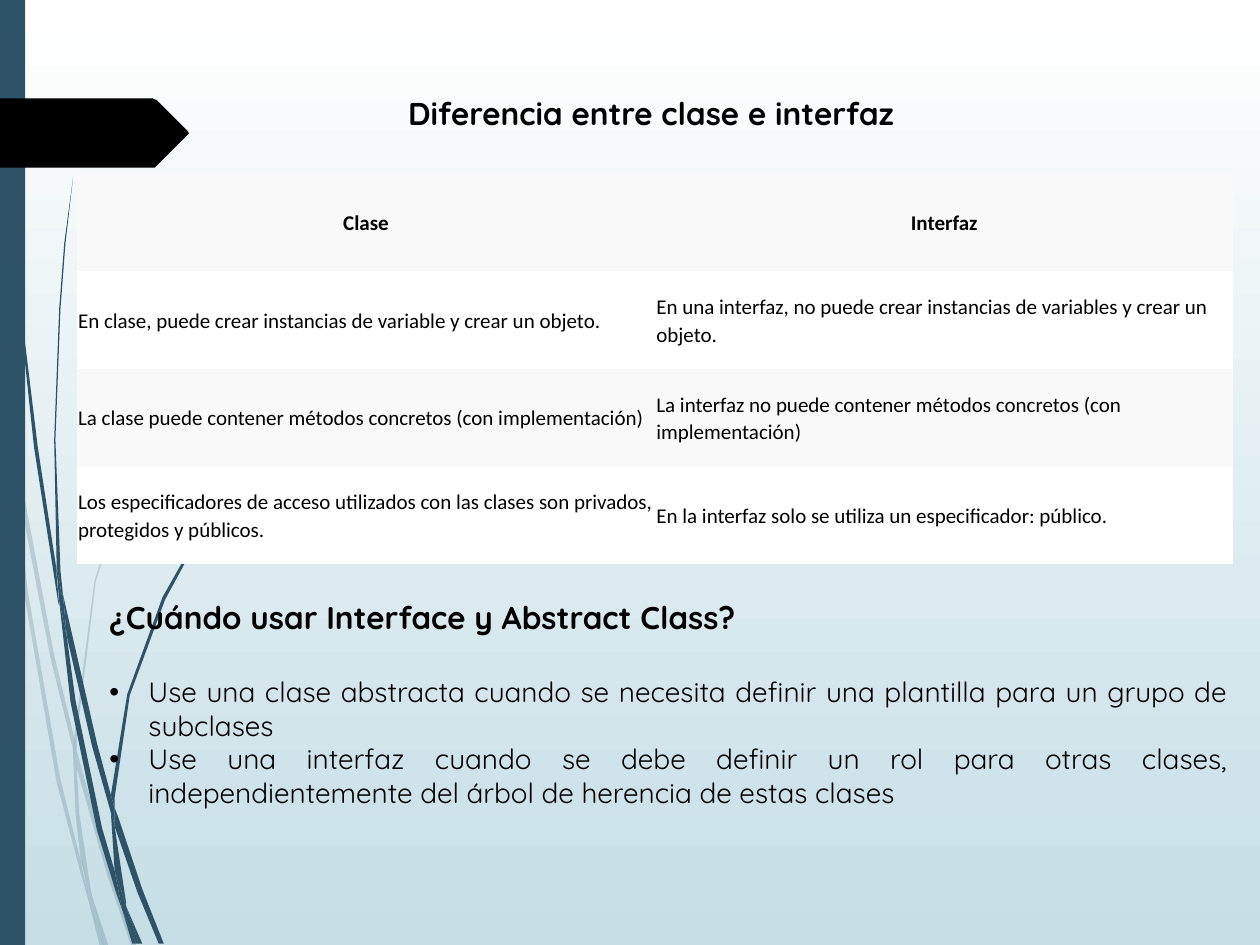
import dataclasses

import lxml.etree
import pptx
import pptx.dml.color
import pptx.enum.shapes
import pptx.enum.text
import pptx.oxml.ns
import pptx.util

PX = 9144
WIDE, HIGH = 1000, 750
PLAIN = "{2D5ABB26-0587-4C30-8999-92F81FD0307C}"


@dataclasses.dataclass(frozen=True)
class Theme:
    """Colours, fonts and type sizes of the slide."""
    blue: str = "2E5369"
    black: str = "000000"
    white: str = "FFFFFF"
    grey: str = "F9F9F9"
    sky: str = "C5DEE5"
    head: str = "Quicksand"
    body: str = "Calibri"
    title: int = 18
    point: int = 16
    cell: int = 12


THEME = Theme()

PALE = [
    [(8, 350), (6, 322), (0, 282), (0, 299), (7, 344)],
    [(40, 522), (59, 599), (59, 586), (43, 520), (10, 345), (12, 376)],
    [(64, 607), (61, 596), (61, 610), (85, 694), (104, 750), (108, 750), (88, 692)],
    [(83, 750), (86, 750), (73, 711)],
    [(64, 683), (48, 619), (22, 469), (12, 376), (8, 350), (19, 470), (45, 621),
     (64, 693), (70, 714), (69, 707)],
    [(58, 599), (60, 646), (64, 683), (67, 692), (73, 711), (72, 706), (63, 646),
     (61, 610), (61, 608)],
    [(61, 584), (76, 462), (111, 349), (159, 245), (187, 198), (201, 175), (217, 154),
     (217, 153), (201, 175), (186, 197), (158, 244), (110, 348), (75, 461), (59, 584),
     (59, 586), (61, 596)],
    [(70, 714), (79, 750), (82, 750)],
    [(61, 608), (61, 610), (61, 596), (59, 586), (58, 599)],
    [(67, 692), (65, 683), (69, 707), (70, 714), (82, 750), (83, 750), (73, 711)],
]

DARK = [
    [(5, 110), (14, 233), (27, 355), (46, 477), (47, 481), (45, 457), (45, 453),
     (30, 355), (15, 232), (6, 109), (4, 48), (3, 0), (2, 0), (3, 48)],
    [(73, 592), (88, 645), (88, 633), (88, 631), (77, 590), (50, 472), (53, 505)],
    [(94, 649), (91, 641), (91, 656), (109, 708), (126, 749), (130, 749), (113, 706)],
    [(91, 691), (81, 657), (60, 556), (53, 505), (47, 477), (56, 557), (77, 659),
     (92, 708), (97, 722), (96, 717)],
    [(50, 472), (48, 453), (44, 349), (48, 245), (52, 193), (58, 141), (51, 193),
     (47, 245), (43, 349), (45, 449), (49, 472)],
    [(110, 749), (113, 749), (100, 719)],
    [(47, 477), (53, 505), (50, 472), (49, 472), (45, 449), (45, 453)],
    [(91, 633), (103, 552), (131, 476), (169, 406), (191, 374), (203, 359), (216, 344),
     (215, 344), (203, 358), (191, 373), (168, 405), (129, 474), (101, 551), (88, 631),
     (91, 641)],
    [(97, 722), (105, 749), (108, 749)],
    [(88, 645), (91, 691), (96, 706), (100, 719), (100, 716), (91, 656), (90, 651)],
    [(88, 645), (90, 651), (91, 656), (91, 641), (88, 631), (88, 633)],
    [(96, 706), (91, 691), (96, 717), (97, 722), (108, 749), (110, 749), (100, 719)],
]

TAG = [(149, 29), (124, 54), (123, 55), (121, 55), (0, 55), (0, 0), (121, 0),
       (123, 1), (124, 1), (149, 26), (150, 28)]

ROWS = [
    ("Clase", "Interfaz"),
    ("En clase, puede crear instancias de variable y crear un objeto.",
     "En una interfaz, no puede crear instancias de variables y crear un objeto."),
    ("La clase puede contener métodos concretos (con implementación)",
     "La interfaz no puede contener métodos concretos (con implementación)"),
    ("Los especificadores de acceso utilizados con las clases son privados, "
     "protegidos y públicos.",
     "En la interfaz solo se utiliza un especificador: público."),
]

POINTS = [
    "Use una clase abstracta cuando se necesita definir una plantilla para un grupo "
    "de subclases",
    "Use una interfaz cuando se debe definir un rol para otras clases, "
    "independientemente del árbol de herencia de estas clases",
]


def tint(code):
    """Turn a hex code into a colour."""
    return pptx.dml.color.RGBColor.from_string(code)


def scale(box):
    """Turn a box in px into EMU."""
    return [side * PX for side in box]


def paint(shape, code, alpha=None):
    """Give a shape a plain fill with no line or shadow."""
    shape.shadow.inherit = False
    shape.fill.solid()
    shape.fill.fore_color.rgb = tint(code)
    shape.line.fill.background()
    if alpha:
        for node in shape.fill._xPr.iter(pptx.oxml.ns.qn("a:srgbClr")):
            lxml.etree.SubElement(node, pptx.oxml.ns.qn("a:alpha"), val=str(alpha * 1000))


def trace(shapes, box, dots, code, alpha=None):
    """Draw a closed outline from the corner of a box."""
    left, top = scale(box[:2])
    pen = shapes.build_freeform(*dots[0], scale=PX)
    pen.add_line_segments(dots[1:], close=True)
    paint(pen.convert_to_shape(left, top), code, alpha)


def write(para, text, font, size, bold=False):
    """Add one run to a paragraph."""
    run = para.add_run()
    run.text = text
    run.font.name = font
    run.font.size = pptx.util.Pt(size)
    run.font.bold = bold
    run.font.color.rgb = tint(THEME.black)


def frame(slide, box):
    """Add a wrapping text box and return its frame."""
    text = slide.shapes.add_textbox(*scale(box)).text_frame
    text.word_wrap = True
    return text


def add_back(slide):
    """Fill the slide with a fade from top to bottom."""
    fill = slide.background.fill
    fill.gradient()
    fill.gradient_angle = 270
    for stop, code in zip(fill.gradient_stops, (THEME.white, THEME.sky)):
        stop.color.rgb = tint(code)


def add_wisps(slide, box, wisps, alpha=None):
    """Draw a group of curved blades in a box."""
    group = slide.shapes.add_group_shape()
    for dots in wisps:
        trace(group.shapes, box, dots, THEME.blue, alpha)


def add_bar(slide, box):
    """Draw the bar down the left edge."""
    kind = pptx.enum.shapes.MSO_SHAPE.RECTANGLE
    paint(slide.shapes.add_shape(kind, *scale(box)), THEME.blue)


def add_title(slide, box):
    """Write the title."""
    para = frame(slide, box).paragraphs[0]
    write(para, "Diferencia entre clase e interfaz", THEME.head, THEME.title, True)


def add_grid(slide, box):
    """Build the table that compares class and interface."""
    table = slide.shapes.add_table(len(ROWS), len(ROWS[0]), *scale(box)).table
    table._tbl.tblPr.find(pptx.oxml.ns.qn("a:tableStyleId")).text = PLAIN
    table.first_row = table.horz_banding = False
    for row, texts in enumerate(ROWS):
        for col, text in enumerate(texts):
            cell = table.cell(row, col)
            cell.fill.solid()
            cell.fill.fore_color.rgb = tint(THEME.white if row % 2 else THEME.grey)
            cell.vertical_anchor = pptx.enum.text.MSO_ANCHOR.MIDDLE
            cell.margin_left = cell.margin_right = PX
            cell.margin_top = cell.margin_bottom = PX
            para = cell.text_frame.paragraphs[0]
            para.line_spacing = 1.07
            para.space_after = pptx.util.Pt(8)
            if row == 0:
                para.alignment = pptx.enum.text.PP_ALIGN.CENTER
            write(para, text, THEME.body, THEME.cell, row == 0)


def add_notes(slide, box):
    """Write the question and its bullet points."""
    text = frame(slide, box)
    head = text.paragraphs[0]
    head.space_after = pptx.util.Pt(22)
    write(head, "¿Cuándo usar Interface y Abstract Class?", THEME.head, THEME.title, True)
    for point in POINTS:
        para = text.add_paragraph()
        para.alignment = pptx.enum.text.PP_ALIGN.JUSTIFY
        props = para._p.get_or_add_pPr()
        props.set("marL", str(31 * PX))
        props.set("indent", str(-31 * PX))
        font = pptx.oxml.ns.qn("a:buFont")
        lxml.etree.SubElement(props, font, typeface="Arial")
        lxml.etree.SubElement(props, pptx.oxml.ns.qn("a:buChar"), char="•")
        write(para, point, THEME.head, THEME.point)


def main():
    """Build the slide and save it."""
    deck = pptx.Presentation()
    deck.slide_width, deck.slide_height = scale((WIDE, HIGH))
    slide = deck.slides.add_slide(deck.slide_layouts[6])
    add_back(slide)
    add_wisps(slide, (0, 0, 217, HIGH), PALE, 20)
    add_wisps(slide, (0, 0, 217, HIGH), DARK)
    add_bar(slide, (0, 0, 20, HIGH))
    trace(slide.shapes, (0, 78, 150, 55), TAG, THEME.black)
    add_title(slide, (314, 70, 451, 131))
    add_grid(slide, (61, 138, 918, 310))
    add_notes(slide, (77, 470, 907, 178))
    deck.save("out.pptx")


if __name__ == "__main__":
    main()
